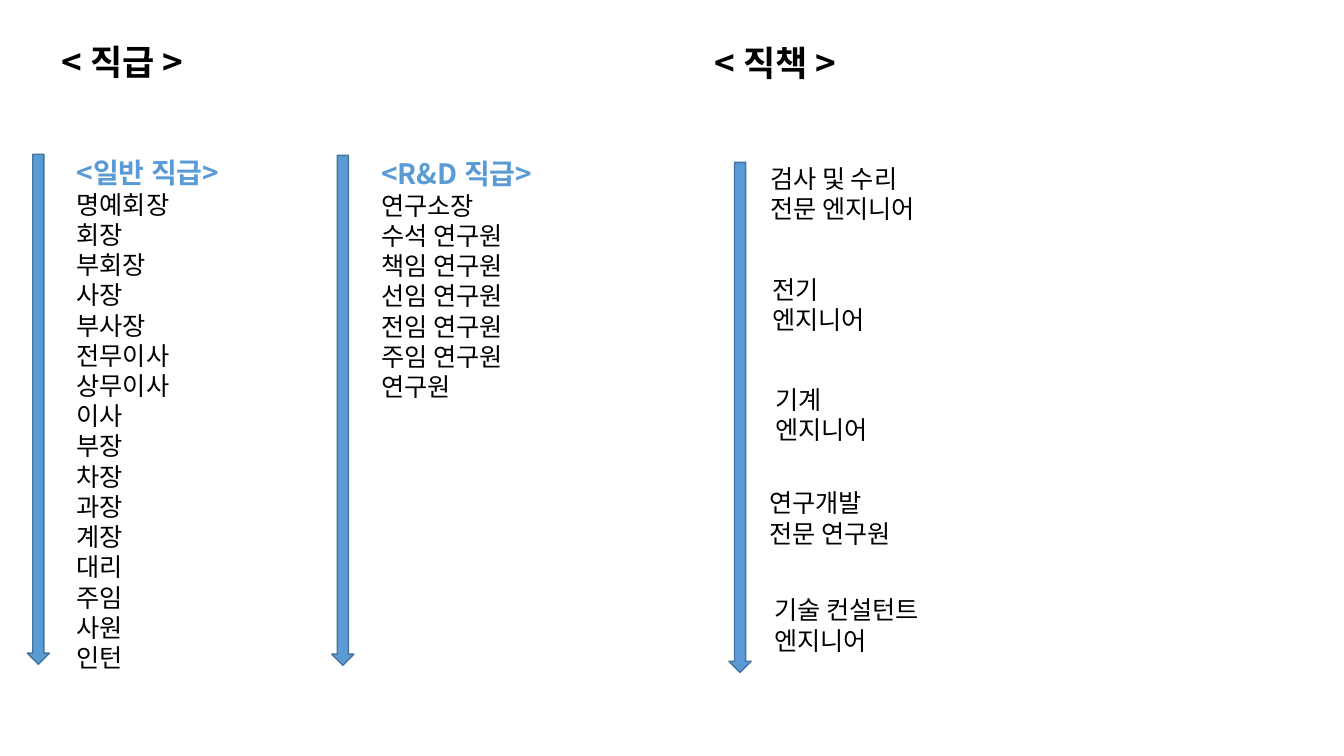
from lxml.etree import SubElement as Sub
from pptx import Presentation
from pptx.dml.color import RGBColor as Rgb
from pptx.enum.shapes import MSO_SHAPE as Shape
from pptx.enum.text import MSO_ANCHOR as Anchor, MSO_AUTO_SIZE as Fit, PP_ALIGN as Align
from pptx.oxml.ns import qn
from pptx.util import Inches, Pt

FONT = "Noto Sans CJK KR"
WIDE, HIGH = Inches(13.33), Inches(7.5)
COLORS = {"text": "000000", "blue": "5B9BD5", "edge": "43739E"}
RANKS = ["명예회장", "회장", "부회장", "사장", "부사장", "전무이사", "상무이사", "이사",
         "부장", "차장", "과장", "계장", "대리", "주임", "사원", "인턴"]
LABS = ["연구소장", "수석 연구원", "책임 연구원", "선임 연구원", "전임 연구원",
        "주임 연구원", "연구원"]
DUTIES = [
    (56.56, 20.93, 13.58, "검사 및 수리", "전문 엔지니어"),
    (56.71, 35.6, 9.08, "전기", "엔지니어"),
    (56.94, 50.13, 9.08, "기계", "엔지니어"),
    (56.49, 63.87, 11.63, "연구개발", "전문 연구원"),
    (56.86, 78, 13.58, "기술 컨설턴트", "엔지니어"),
]
ARROWS = [(2.03, 20.4), (24.68, 20.53), (54.24, 21.47)]


def area(x, y, w, h):
    return [int(size * part / 100) for size, part in
            ((WIDE, x), (HIGH, y), (WIDE, w), (HIGH, h))]


def place(item, box):
    item.left, item.top, item.width, item.height = area(*box)
    return item


def add_line(para, words, size, color="text", bold=False):
    para.alignment = Align.LEFT
    para.space_before = para.space_after = Pt(0)
    para.line_spacing = 1.0
    props = para._p.get_or_add_pPr()
    props.set("marL", "0")
    props.set("indent", "0")
    Sub(props, qn("a:buNone"))
    run = para.add_run()
    run.text = words
    font = run.font
    font.name, font.size, font.bold = FONT, Pt(size), bold
    font.color.rgb = Rgb.from_string(COLORS[color])
    Sub(run._r.get_or_add_rPr(), qn("a:ea")).set("typeface", FONT)


def fill_text(item, lines, wrap=False):
    frame = item.text_frame
    frame.word_wrap = wrap
    frame.auto_size = Fit.SHAPE_TO_FIT_TEXT
    frame.vertical_anchor = Anchor.TOP
    for i, line in enumerate(lines):
        para = frame.add_paragraph() if i else frame.paragraphs[0]
        add_line(para, *line)


def add_head(item, box, words):
    fill_text(place(item, box), [(words, 25, "text", True)], True)


def add_list(item, box, head, names):
    lines = [(head, 20, "blue", True)] + [(name, 18) for name in names]
    fill_text(place(item, box), lines)


def add_duty(slide, x, y, w, *names):
    item = slide.shapes.add_textbox(*area(x, y, w, 9.47))
    fill_text(item, [(name, 18) for name in names])


def add_arrow(slide, x, y):
    arrow = slide.shapes.add_shape(Shape.DOWN_ARROW, *area(x, y, 1.65, 67.47))
    arrow.shadow.inherit = False
    arrow.fill.solid()
    arrow.fill.fore_color.rgb = Rgb.from_string(COLORS["blue"])
    arrow.line.color.rgb = Rgb.from_string(COLORS["edge"])
    arrow.line.width = Pt(1)


def main():
    deck = Presentation()
    deck.slide_width, deck.slide_height = WIDE, HIGH
    slide = deck.slides.add_slide(deck.slide_layouts[4])
    slots = {item.placeholder_format.idx: item for item in slide.placeholders}
    add_head(slots[0], (3.83, 4.67, 17.63, 6.93), "< 직급 >")
    add_head(slots[1], (52.44, 4.8, 17.63, 6.93), "< 직책 >")
    add_list(slots[2], (4.95, 19.87, 13.73, 70.4), "<일반 직급>", RANKS)
    add_list(slots[4], (27.61, 20, 14.25, 34.13), "<R&D 직급>", LABS)
    spare = slots[3]._element
    spare.getparent().remove(spare)
    for spot in ARROWS:
        add_arrow(slide, *spot)
    for duty in DUTIES:
        add_duty(slide, *duty)
    deck.save("out.pptx")


if __name__ == "__main__":
    main()
